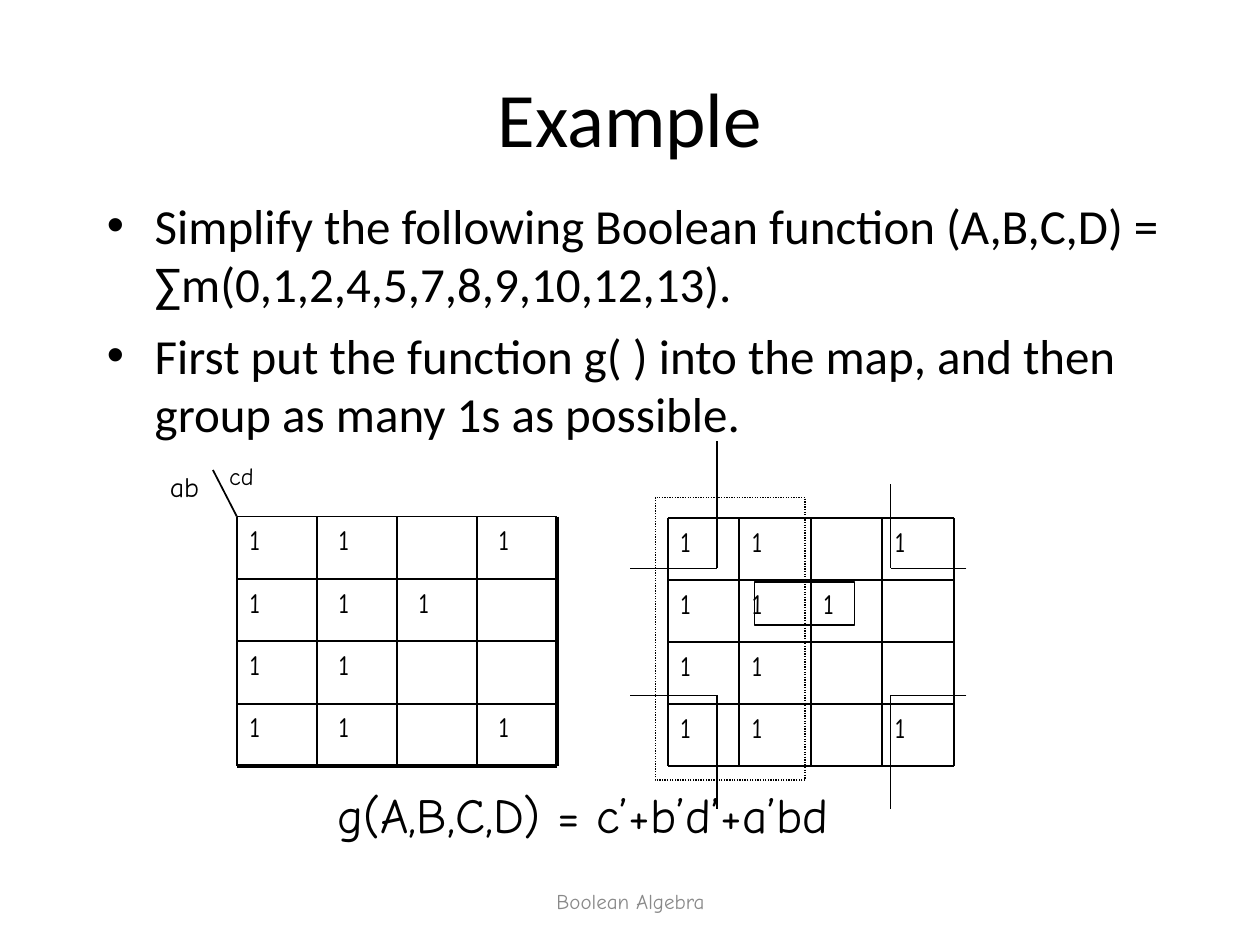
from lxml import etree
from pptx import Presentation
from pptx.dml.color import RGBColor
from pptx.enum import dml, shapes, text
from pptx.oxml.ns import qn
from pptx.util import Inches, Pt

BLACK = RGBColor(0x00, 0x00, 0x00)
GREY = RGBColor(0x89, 0x89, 0x89)
SANS = "Calibri"
HAND = "Comic Neue"
GRID = 4
# Columns holding a 1, row by row
ONES = [(0, 1, 3), (0, 1, 2), (0, 1), (0, 1, 3)]


def add_text(page, left, top, width, height, paragraphs, size, font=HAND,
             color=BLACK, align=text.PP_ALIGN.LEFT, anchor=text.MSO_ANCHOR.TOP):
    box = page.shapes.add_textbox(Inches(left), Inches(top), Inches(width), Inches(height))
    frame = box.text_frame
    frame.word_wrap = True
    frame.vertical_anchor = anchor
    frame.text = "\n".join(paragraphs)
    for para in frame.paragraphs:
        para.alignment = align
        for span in para.runs:
            span.font.size = Pt(size)
            span.font.name = font
            span.font.color.rgb = color
    return box


def add_line(page, start, end, weight=1):
    line = page.shapes.add_connector(
        shapes.MSO_CONNECTOR.STRAIGHT, *(Inches(value) for value in (*start, *end)))
    line.line.color.rgb = BLACK
    line.line.width = Pt(weight)
    etree.SubElement(line._element.spPr, qn("a:effectLst"))


def add_outline(page, left, top, width, height, dash=None):
    box = page.shapes.add_shape(
        shapes.MSO_SHAPE.RECTANGLE, Inches(left), Inches(top), Inches(width), Inches(height))
    box.shadow.inherit = False
    box.fill.background()
    box.line.color.rgb = BLACK
    box.line.width = Pt(0.75)
    if dash:
        box.line.dash_style = dash


def add_bullets(page, left, top, width, height, paragraphs):
    box = add_text(page, left, top, width, height, paragraphs, 28, SANS)
    for index, para in enumerate(box.text_frame.paragraphs):
        properties = para._p.get_or_add_pPr()
        properties.set("marL", str(Inches(0.38)))
        properties.set("indent", str(Inches(-0.38)))
        etree.SubElement(properties, qn("a:buFont")).set("typeface", "Arial")
        etree.SubElement(properties, qn("a:buChar")).set("char", "•")
        if index:
            para.space_before = Pt(7)


def add_map(page, left, top, width, height, far_edge=1, shift=0):
    """Four by four map; shift moves the digits right in all but the first column."""
    cell_width, cell_height = width / GRID, height / GRID
    for row, columns in enumerate(ONES):
        for column in columns:
            digit = add_text(page, left + column * cell_width, top + row * cell_height,
                             cell_width, cell_height, ["1"], 16)
            if column:
                digit.text_frame.margin_left = Inches(0.1 + shift)
    for step in range(GRID + 1):
        weight = far_edge if step == GRID else 1
        x, y = left + step * cell_width, top + step * cell_height
        add_line(page, (x, top), (x, top + height), weight)
        add_line(page, (left, y), (left + width, y), weight)


def add_axis_labels(page, left, top):
    """Variable names and slanted stroke outside the top left corner of a map."""
    column_label = add_text(page, left - 0.16, top - 0.71, 0.63, 0.6, ["cd"], 24)
    span = column_label.text_frame.paragraphs[0].runs[0]
    span.font._element.set("baseline", "-25000")
    add_text(page, left - 0.63, top - 0.42, 0.63, 0.4, ["ab"], 16)
    add_line(page, (left - 0.19, top - 0.37), (left, top))


def add_groups(page, left, top, width, height):
    """Outlines of c', a'bd and the four corners b'd' over a map."""
    add_outline(page, left - 0.1, top - 0.16, 1.19, height + 0.27,
                dml.MSO_LINE.ROUND_DOT)
    add_outline(page, left + 0.69, top + 0.51, 0.79, 0.34)
    right, bottom = left + width, top + height
    upper, lower = top + 0.4, bottom - 0.56
    corners = [
        (left - 0.3, left + 0.39, lower, bottom + 0.34),
        (left - 0.3, left + 0.39, upper, top - 0.61),
        (right + 0.1, right - 0.5, lower, bottom + 0.34),
        (right + 0.1, right - 0.5, upper, top - 0.27),
    ]
    for outer_x, inner_x, inner_y, outer_y in corners:
        add_line(page, (outer_x, inner_y), (inner_x, inner_y), 0.75)
        add_line(page, (inner_x, inner_y), (inner_x, outer_y), 0.75)


def main():
    deck = Presentation()
    deck.slide_width, deck.slide_height = Inches(10), Inches(7.5)
    page = deck.slides.add_slide(deck.slide_layouts[6])
    centred = {"align": text.PP_ALIGN.CENTER, "anchor": text.MSO_ANCHOR.MIDDLE}

    add_text(page, 0.5, 0.3, 9, 1.25, ["Example"], 44, SANS, **centred)
    add_bullets(page, 0.75, 1.5, 8.86, 2.17, [
        "Simplify the following Boolean function (A,B,C,D) = ∑m(0,1,2,4,5,7,8,9,10,12,13).",
        "First put the function g( ) into the map, and then group as many 1s as possible.",
    ])
    add_text(page, 3.42, 6.95, 3.17, 0.4, ["Boolean Algebra"], 12, color=GREY, **centred)

    add_axis_labels(page, 1.88, 4.1)
    add_map(page, 1.88, 4.1, 2.54, 1.98, far_edge=2.25, shift=0.07)
    add_text(page, 2.58, 6.18, 5.63, 0.57, ["g(A,B,C,D) = c’+b’d’+a’bd"], 28)
    grouped_map = (5.3, 4.11, 2.27, 1.97)
    add_map(page, *grouped_map)
    add_groups(page, *grouped_map)
    deck.save("out.pptx")


if __name__ == "__main__":
    main()
